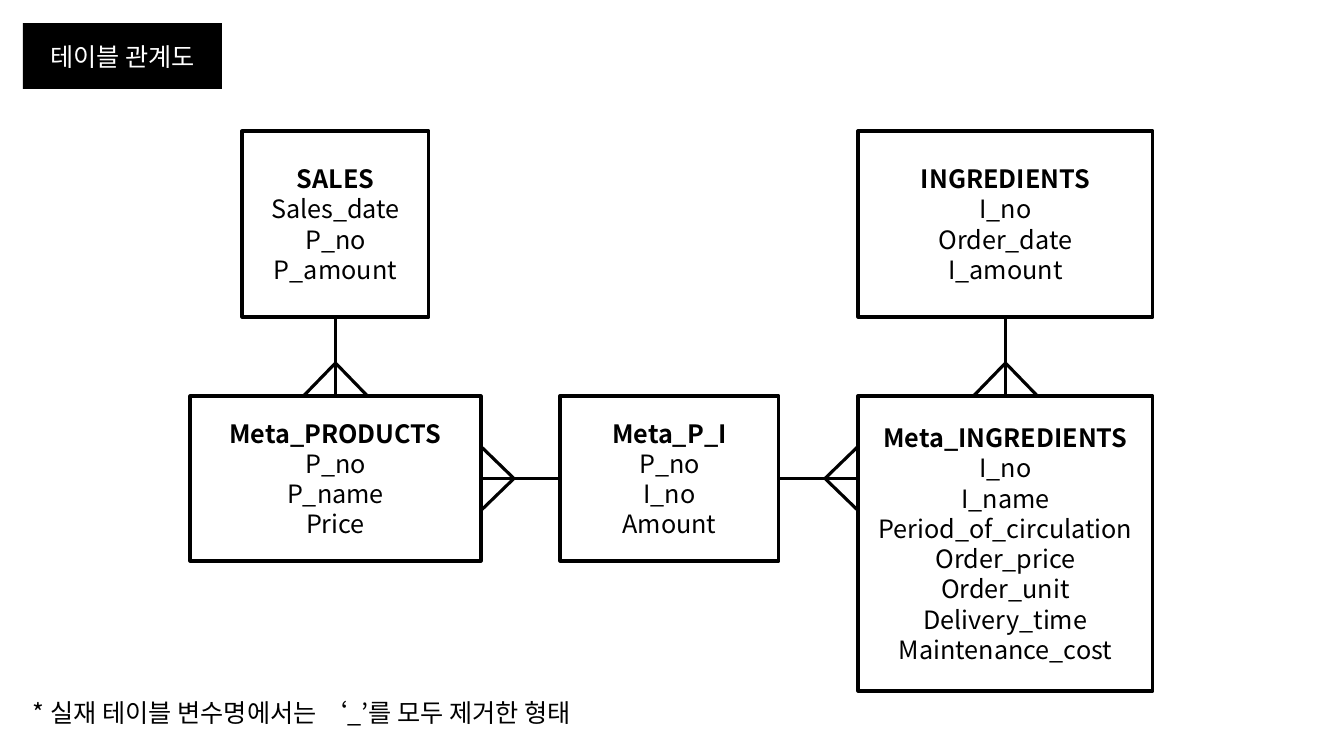
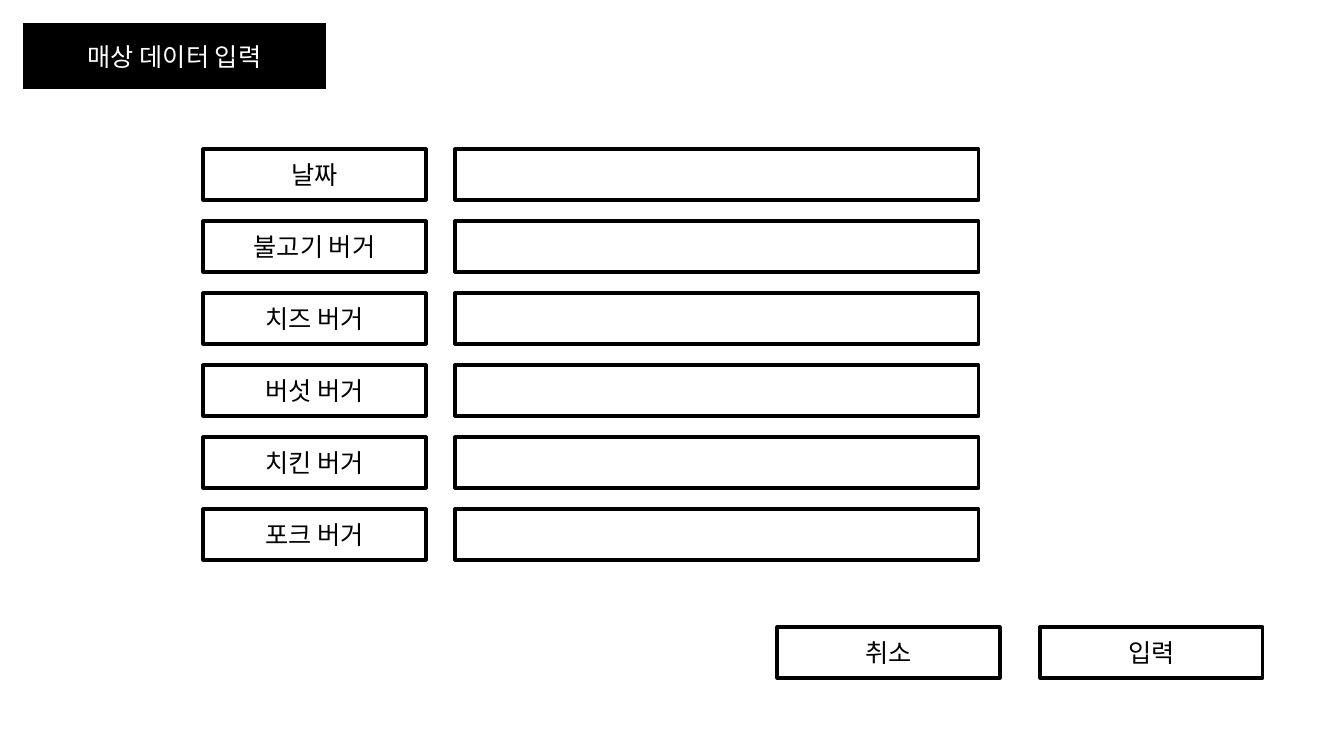
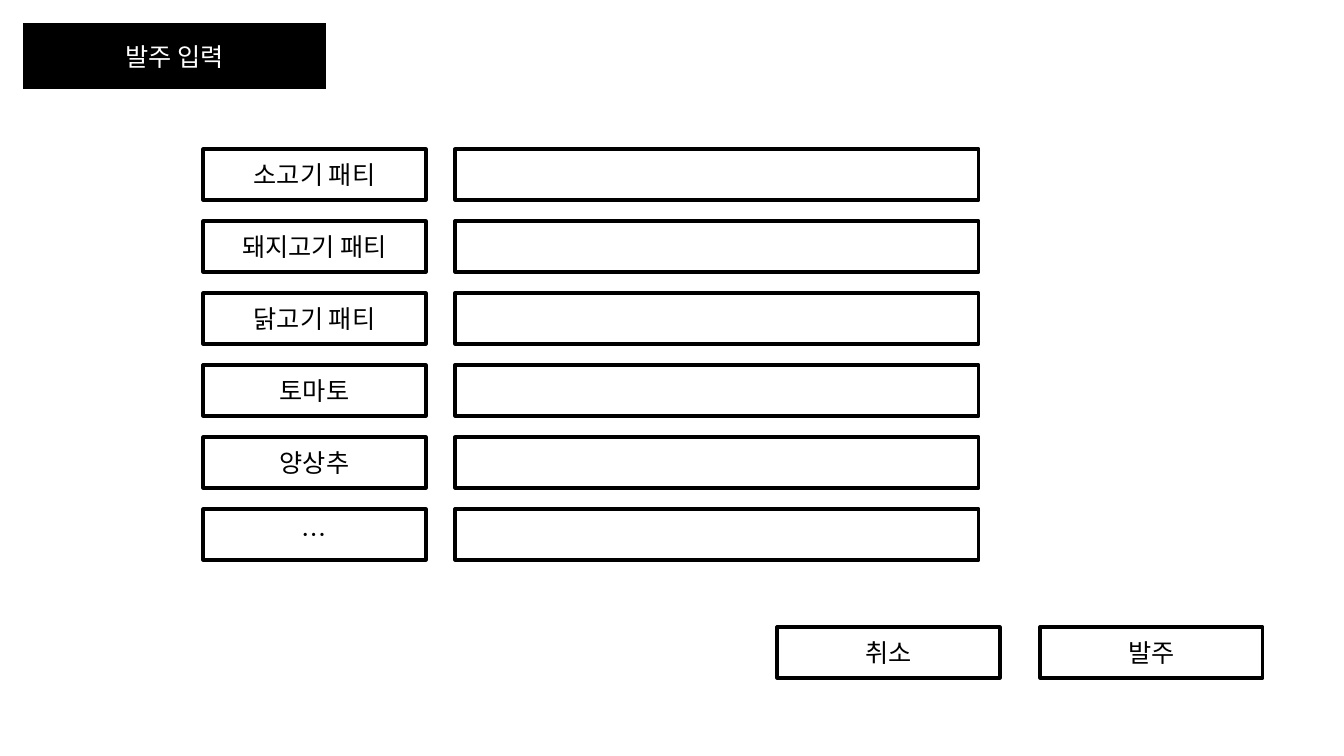
from dataclasses import dataclass

from lxml.etree import SubElement
from pptx import Presentation
from pptx.dml.color import RGBColor
from pptx.enum.shapes import MSO_CONNECTOR, MSO_SHAPE
from pptx.enum.text import MSO_ANCHOR, PP_ALIGN
from pptx.oxml.ns import qn
from pptx.shapes.autoshape import Shape
from pptx.shapes.connector import Connector
from pptx.slide import Slide
from pptx.util import Emu, Pt

# Shared style
PX_PER_INCH = 100.8
FONT, TEXT_PT, LINE_PT = "Noto Sans CJK KR", 18, 2.25
BLACK, WHITE = "000000", "FFFFFF"
TOP, LEFT, BOTTOM, RIGHT = range(4)
FOOT_LENGTH, FOOT_SPREAD = 33, 32

# Form layout
LABEL_LEFT, FIELD_LEFT, ROWS_TOP, ROW_STEP = 203, 455, 149, 72
CELL_W, CELL_H, FIELD_W = 223, 51, 524
BUTTONS_LEFT, BUTTONS_TOP, BUTTON_STEP = 777, 627, 263


@dataclass(frozen=True)
class Entity:
    name: str
    columns: tuple[str, ...]
    left: int
    top: int
    width: int
    height: int


@dataclass(frozen=True)
class Relation:
    one: str
    one_side: int
    many: str
    many_side: int


@dataclass(frozen=True)
class Form:
    title: str
    labels: tuple[str, ...]
    buttons: tuple[str, ...]


ENTITIES = (
    Entity("Meta_INGREDIENTS",
           ("I_no", "I_name", "Period_of_circulation", "Order_price",
            "Order_unit", "Delivery_time", "Maintenance_cost"),
           858, 396, 295, 295),
    Entity("Meta_P_I", ("P_no", "I_no", "Amount"), 560, 396, 219, 165),
    Entity("SALES", ("Sales_date", "P_no", "P_amount"), 242, 131, 187, 186),
    Entity("Meta_PRODUCTS", ("P_no", "P_name", "Price"), 190, 396, 291, 165),
    Entity("INGREDIENTS", ("I_no", "Order_date", "I_amount"), 858, 131, 295, 186),
)
RELATIONS = (
    Relation("SALES", BOTTOM, "Meta_PRODUCTS", TOP),
    Relation("INGREDIENTS", BOTTOM, "Meta_INGREDIENTS", TOP),
    Relation("Meta_P_I", LEFT, "Meta_PRODUCTS", RIGHT),
)
FORMS = (
    Form("매상 데이터 입력",
         ("날짜", "불고기 버거", "치즈 버거", "버섯 버거", "치킨 버거", "포크 버거"),
         ("취소", "입력")),
    Form("발주 입력",
         ("소고기 패티", "돼지고기 패티", "닭고기 패티", "토마토", "양상추", "…"),
         ("취소", "발주")),
)


def px(n: float) -> Emu:
    return Emu(round(n * 914400 / PX_PER_INCH))


def rgb(color: str) -> RGBColor:
    return RGBColor.from_string(color)


def write(s: Shape, text: str, color: str = BLACK, bold_first: bool = False,
          align: PP_ALIGN = PP_ALIGN.CENTER) -> None:
    tf = s.text_frame
    tf.word_wrap = True
    tf.text = text
    for i, p in enumerate(tf.paragraphs):
        p.alignment = align
        for r in p.runs:
            r.font.name, r.font.size = FONT, Pt(TEXT_PT)
            r.font.bold = bold_first and i == 0
            r.font.color.rgb = rgb(color)
            SubElement(r.font._element, qn("a:ea"), typeface=FONT)


def add_box(slide: Slide, left: int, top: int, width: int, height: int,
            text: str = "", bold_first: bool = False) -> Shape:
    s = slide.shapes.add_shape(MSO_SHAPE.RECTANGLE, px(left), px(top),
                               px(width), px(height))
    s.shadow.inherit = False
    s.fill.background()
    s.line.color.rgb, s.line.width = rgb(BLACK), Pt(LINE_PT)
    s.text_frame.vertical_anchor = MSO_ANCHOR.MIDDLE
    if text:
        write(s, text, bold_first=bold_first)
    return s


def add_title(slide: Slide, text: str, width: int) -> None:
    s = add_box(slide, 23, 23, width, 66)
    s.fill.solid()
    s.fill.fore_color.rgb = rgb(BLACK)
    s.line.fill.background()
    write(s, text, WHITE)


def add_line(slide: Slide, x1: float, y1: float, x2: float, y2: float) -> Connector:
    c = slide.shapes.add_connector(MSO_CONNECTOR.STRAIGHT,
                                   px(x1), px(y1), px(x2), px(y2))
    c.line.color.rgb, c.line.width = rgb(BLACK), Pt(LINE_PT)
    SubElement(c._element.spPr, qn("a:effectLst"))
    return c


def side_middle(e: Entity, side: int) -> tuple[float, float]:
    x, y = e.left + e.width / 2, e.top + e.height / 2
    return {TOP: (x, e.top), LEFT: (e.left, y),
            BOTTOM: (x, e.top + e.height), RIGHT: (e.left + e.width, y)}[side]


def add_crow_foot(slide: Slide, x: float, y: float, side: int) -> None:
    """Draw two toes that open towards a side whose middle is x, y."""
    dx, dy = {TOP: (0, -1), LEFT: (-1, 0), BOTTOM: (0, 1), RIGHT: (1, 0)}[side]
    for spread in (-FOOT_SPREAD, FOOT_SPREAD):
        add_line(slide, x + dx * FOOT_LENGTH, y + dy * FOOT_LENGTH,
                 x + dy * spread, y + dx * spread)


def draw_diagram(slide: Slide) -> None:
    add_title(slide, "테이블 관계도", 199)
    note = slide.shapes.add_textbox(px(23), px(692), px(1297), px(40))
    write(note, "* 실재 테이블 변수명에서는 ‘_’를 모두 제거한 형태", align=PP_ALIGN.LEFT)

    # Entities
    entities = {e.name: e for e in ENTITIES}
    boxes = {e.name: add_box(slide, e.left, e.top, e.width, e.height,
                             "\n".join((e.name, *e.columns)), bold_first=True)
             for e in ENTITIES}

    # Relations that join two side middles
    for rel in RELATIONS:
        start = side_middle(entities[rel.one], rel.one_side)
        end = side_middle(entities[rel.many], rel.many_side)
        c = add_line(slide, *start, *end)
        c.begin_connect(boxes[rel.one], rel.one_side)
        c.end_connect(boxes[rel.many], rel.many_side)
        add_crow_foot(slide, *end, rel.many_side)

    # Meta_INGREDIENTS is taller, so this line meets it above its middle
    x, y = side_middle(entities["Meta_P_I"], RIGHT)
    many_left = entities["Meta_INGREDIENTS"].left
    c = add_line(slide, x, y, many_left, y)
    c.begin_connect(boxes["Meta_P_I"], RIGHT)
    add_crow_foot(slide, many_left, y, LEFT)


def draw_form(slide: Slide, form: Form) -> None:
    add_title(slide, form.title, 303)
    for i, label in enumerate(form.labels):
        top = ROWS_TOP + i * ROW_STEP
        add_box(slide, LABEL_LEFT, top, CELL_W, CELL_H, label)
        add_box(slide, FIELD_LEFT, top, FIELD_W, CELL_H)
    for i, button in enumerate(form.buttons):
        add_box(slide, BUTTONS_LEFT + i * BUTTON_STEP, BUTTONS_TOP,
                CELL_W, CELL_H, button)


def main() -> None:
    prs = Presentation()
    prs.slide_width, prs.slide_height = px(1344), px(756)
    blank = prs.slide_layouts[6]
    draw_diagram(prs.slides.add_slide(blank))
    for form in FORMS:
        draw_form(prs.slides.add_slide(blank), form)
    prs.save("out.pptx")


if __name__ == "__main__":
    main()
